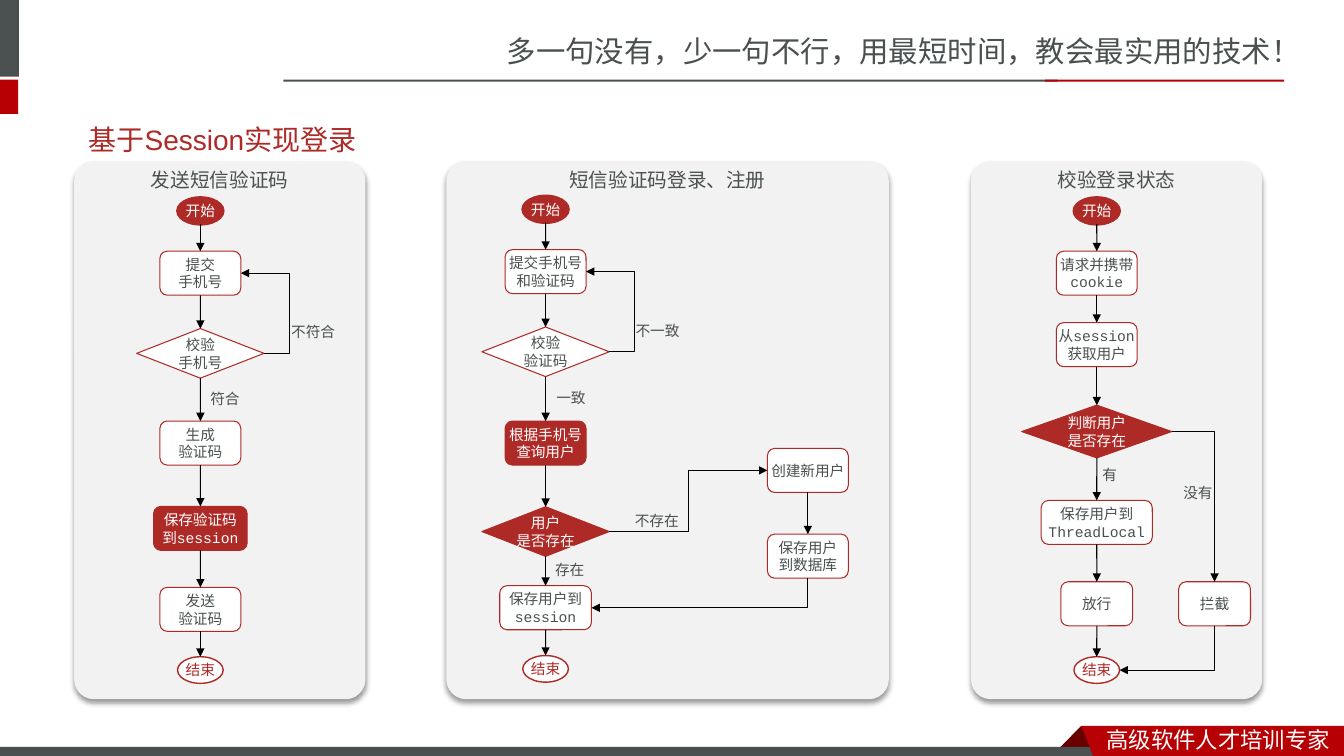
from lxml import etree
from pptx import Presentation
from pptx.dml.color import RGBColor
from pptx.enum import shapes, text
from pptx.oxml import ns
from pptx.util import Cm, Pt

# Content: lengths in cm
COLORS = {"dark": "49504F", "red": "AD2A26", "bright": "B60004", "fold": "680000",
          "panel": "F2F2F2", "white": "FFFFFF", "black": "000000"}
CJK, MONO = "Noto Sans CJK SC", "Courier New"
SLOGAN = "多一句没有，少一句不行，用最短时间，教会最实用的技术！"
TITLE = "基于Session实现登录"
FOOTER = "高级软件人才培训专家"

BARS = [  # left, top, width, height, colour
    (0, 0, 0.48, 1.93, "dark"), (0, 2.01, 0.46, 0.86, "bright"),
    (7.14, 2.01, 19.51, 0.05, "dark"), (26.34, 2.01, 6.02, 0.05, "bright"),
]
FOLD = [(27.25, 18.29), (27.81, 18.85), (27.79, 18.87), (26.72, 18.87), (26.7, 18.85)]
FOOTER_BAR = (0, 18.82, 27.84, 0.23, "dark")
RIBBON = [(27.25, 18.29), (33.87, 18.29), (33.87, 19.05), (27.55, 19.05)]

PANELS = [(1.87, 7.34, "发送短信验证码"), (11.25, 11.15, "短信验证码登录、注册"),
          (24.47, 7.34, "校验登录状态")]
PANEL_TOP, PANEL_HEIGHT, PANEL_RADIUS = 4.06, 13.56, 0.5

KINDS = {  # preset, width, height, fill, line, line width, text colour
    "start": ("OVAL", 1.15, 0.67, "red", "red", 2, "white"),
    "end": ("OVAL", 1.15, 0.67, "white", "red", 1, "red"),
    "step": ("ROUNDED_RECTANGLE", 2.04, 1.11, "white", "red", 0.75, "dark"),
    "key step": ("ROUNDED_RECTANGLE", 2.04, 1.11, "red", "red", 0.75, "white"),
    "test": ("DIAMOND", 3.21, 1.25, "white", "red", 0.75, "dark"),
    "key test": ("DIAMOND", 3.21, 1.25, "red", "red", 0.75, "white"),
}
FLOWS = {  # centre, then nodes: kind, top, lines, optional width and height
    "send": (5.05, [
        ("start", 4.98, ["开始"]), ("step", 6.33, ["提交", "手机号"]),
        ("test", 8.28, ["校验", "手机号"]), ("step", 10.61, ["生成", "验证码"]),
        ("key step", 12.76, ["保存验证码", "到session"], 2.36),
        ("step", 14.8, ["发送", "验证码"]), ("end", 16.55, ["结束"])]),
    "login": (13.75, [
        ("start", 4.94, ["开始"]), ("step", 6.29, ["提交手机号和验证码"]),
        ("test", 8.24, ["校验", "验证码"]), ("key step", 10.61, ["根据手机号查询用户"]),
        ("key test", 12.77, ["用户", "是否存在"]),
        ("step", 14.76, ["保存用户到session"], 2.31), ("end", 16.52, ["结束"])]),
    "register": (20.36, [
        ("step", 11.3, ["创建新用户"]), ("step", 13.46, ["保存用户", "到数据库"])]),
    "check": (27.64, [
        ("start", 4.98, ["开始"]), ("step", 6.33, ["请求并携带cookie"]),
        ("step", 8.13, ["从session获取用户"]),
        ("key test", 10.21, ["判断用户", "是否存在"], 3.78, 1.33),
        ("step", 12.61, ["保存用户到ThreadLocal"], 2.8),
        ("step", 14.66, ["放行"], 1.81), ("end", 16.55, ["结束"])]),
    "block": (30.61, [("step", 14.66, ["拦截"], 1.81)]),
}
BRANCHES = [  # from node, to node, side left, side entered, bend
    ("send", 2, "send", 1, "right", "right", "loop"),
    ("login", 2, "login", 1, "right", "right", "loop"),
    ("login", 4, "register", 0, "right", "left", "middle"),
    ("register", 1, "login", 5, "bottom", "right", "down first"),
    ("check", 3, "block", 0, "right", "top", "across first"),
    ("block", 0, "check", 6, "bottom", "right", "down first"),
]
LOOP_REACH = Cm(0.64)
LABELS = [(7.09, 8.0, "不符合"), (5.05, 9.7, "符合"), (15.77, 7.98, "不一致"),
          (13.77, 9.68, "一致"), (13.74, 14.0, "存在"), (15.75, 12.78, "不存在"),
          (29.57, 12.07, "没有"), (27.53, 11.61, "有")]

presentation = Presentation()
presentation.slide_width, presentation.slide_height = Cm(33.87), Cm(19.05)
slide = presentation.slides.add_slide(presentation.slide_layouts[5])


def color(name):
    return RGBColor.from_string(COLORS[name])


def write(shape, lines, size, font, ink, align="LEFT", anchor="TOP",
          insets=(0.25, 0.13, 0.25, 0.13), wrap=True):
    frame = shape.text_frame
    frame.word_wrap = wrap
    frame.vertical_anchor = text.MSO_ANCHOR[anchor]
    (frame.margin_left, frame.margin_top,
     frame.margin_right, frame.margin_bottom) = map(Cm, insets)
    for index, line in enumerate(lines):
        paragraph = frame.add_paragraph() if index else frame.paragraphs[0]
        paragraph.alignment = text.PP_ALIGN[align]
        run = paragraph.add_run()
        run.text = line
        run.font.size, run.font.name, run.font.bold = Pt(size), font, False
        run.font.color.rgb = color(ink)
        east_asian = etree.SubElement(run._r.rPr, ns.qn("a:ea"))
        east_asian.set("typeface", CJK)


def paint(shape, fill, line=None, width=0.75):
    shape.shadow.inherit = False
    shape.fill.solid()
    shape.fill.fore_color.rgb = color(fill)
    if line:
        shape.line.color.rgb, shape.line.width = color(line), Pt(width)
    else:
        shape.line.fill.background()


def add_preset(preset, left, top, width, height, *style):
    shape = slide.shapes.add_shape(shapes.MSO_SHAPE[preset], Cm(left), Cm(top),
                                   Cm(width), Cm(height))
    paint(shape, *style)
    return shape


def add_outline(points, fill):
    corners = [(Cm(x), Cm(y)) for x, y in points]
    builder = slide.shapes.build_freeform(*corners[0], scale=1.0)
    builder.add_line_segments(corners[1:], close=True)
    paint(builder.convert_to_shape(), fill)


def add_label(left, top, width, height, words, size, font, ink):
    box = slide.shapes.add_textbox(Cm(left), Cm(top), Cm(width), Cm(height))
    write(box, [words], size, font, ink, wrap=False)


def side(shape, name):
    across = {"left": 0, "right": 1}.get(name, 0.5)
    down = {"top": 0, "bottom": 1}.get(name, 0.5)
    return (int(shape.left + across * shape.width), int(shape.top + down * shape.height))


def add_arrow(begin, end, bend=None):
    (x1, y1), (x2, y2) = begin, end
    if bend == "down first":  # drawn lying down, then turned a quarter
        middle_x, middle_y = (x1 + x2) // 2, (y1 + y2) // 2
        half_width, half_height = abs(y2 - y1) // 2, abs(x2 - x1) // 2
        begin = middle_x - half_width, middle_y - half_height
        end = middle_x + half_width, middle_y + half_height
    kind = shapes.MSO_CONNECTOR.ELBOW if bend else shapes.MSO_CONNECTOR.STRAIGHT
    arrow = slide.shapes.add_connector(kind, *begin, *end)
    arrow.line.color.rgb, arrow.line.width = color("black"), Pt(0.75)
    properties = arrow._element.spPr
    geometry = properties.find(ns.qn("a:prstGeom"))
    if bend == "down first":
        properties.find(ns.qn("a:xfrm")).set("rot", "5400000")
    if bend in ("down first", "across first"):
        geometry.set("prst", "bentConnector2")
    if bend == "loop":
        guide = etree.SubElement(geometry.find(ns.qn("a:avLst")), ns.qn("a:gd"))
        guide.set("name", "adj1")
        guide.set("fmla", f"val {round(LOOP_REACH / (x2 - x1) * 100000)}")
    etree.SubElement(arrow.line._get_or_add_ln(), ns.qn("a:tailEnd")).set("type", "triangle")
    etree.SubElement(properties, ns.qn("a:effectLst"))


# Header and footer
for *place, fill in BARS:
    add_preset("RECTANGLE", *place, fill)
add_outline(FOLD, "fold")
add_preset("RECTANGLE", *FOOTER_BAR)
add_outline(RIBBON, "bright")
add_label(12.52, 0.71, 21.36, 1.19, SLOGAN, 21, CJK, "dark")
add_label(27.64, 18.16, 6.22, 0.94, FOOTER, 16, CJK, "white")

# Title
title = slide.shapes.title
title.left, title.top, title.width, title.height = Cm(1.98), Cm(2.95), Cm(29.72), Cm(1.12)
write(title, [TITLE], 20, "Arial", "red", anchor="MIDDLE")

# Panels with a soft shadow
for left, width, heading in PANELS:
    panel = add_preset("ROUNDED_RECTANGLE", left, PANEL_TOP, width, PANEL_HEIGHT, "panel")
    panel.adjustments[0] = PANEL_RADIUS / width
    write(panel, [heading], 14, MONO, "dark", "CENTER", insets=(0.25, 0.03, 0.25, 0.13))
    effects = panel._element.spPr.find(ns.qn("a:effectLst"))
    shadow = etree.SubElement(effects, ns.qn("a:outerShdw"), blurRad=str(Pt(4)),
                              dist=str(Pt(3)), dir="5400000", algn="t", rotWithShape="0")
    tint = etree.SubElement(shadow, ns.qn("a:srgbClr"), val=COLORS["black"])
    etree.SubElement(tint, ns.qn("a:alpha"), val="40000")

# Flow nodes, each joined to the one above
nodes = {}
for flow, (center, steps) in FLOWS.items():
    nodes[flow] = []
    for kind, top, lines, *size in steps:
        preset, width, height, fill, line, weight, ink = KINDS[kind]
        width, height = (*size, *(width, height)[len(size):])
        node = add_preset(preset, center - width / 2, top, width, height, fill, line, weight)
        margin = 0 if kind == "key test" else 0.13
        write(node, lines, 10.5, MONO, ink, "CENTER", "MIDDLE", (0, margin, 0, margin))
        if nodes[flow]:
            add_arrow(side(nodes[flow][-1], "bottom"), side(node, "top"))
        nodes[flow].append(node)

# Branches and their labels
for source, source_step, target, target_step, exit_side, entry_side, bend in BRANCHES:
    add_arrow(side(nodes[source][source_step], exit_side),
              side(nodes[target][target_step], entry_side), bend)
for left, top, words in LABELS:
    add_label(left, top, 0.51 + 0.37 * len(words), 0.73, words, 10.5, MONO, "dark")

presentation.save("out.pptx")
